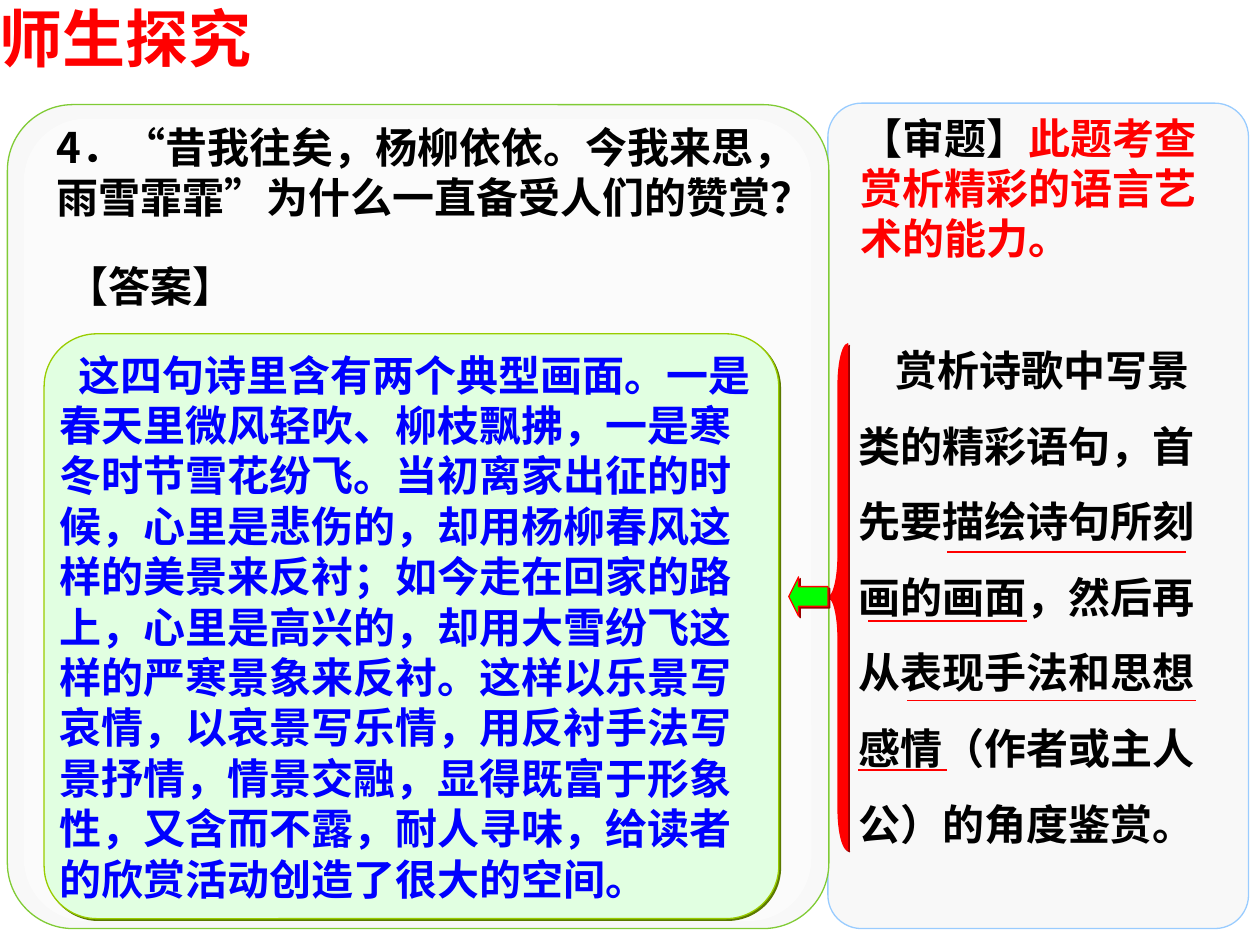
from lxml import etree
from pptx import Presentation
from pptx.dml.color import RGBColor
from pptx.enum.shapes import MSO_CONNECTOR, MSO_SHAPE as SHAPE
from pptx.enum.text import MSO_ANCHOR as ANCHOR, PP_ALIGN
from pptx.oxml.ns import qn
from pptx.util import Cm, Pt

COLORS = {
    "panel": "F8F8F8", "white": "FFFFFF", "black": "000000", "red": "FF0000",
    "blue": "0000FF", "green": "00FF00", "mint": "E1FFE1", "lime": "99CC00",
    "leaf": "80CB35", "sky": "99CCFF", "olive": "5B7900", "maroon": "980000",
    "gray": "808080",
}
SANS = "Noto Sans CJK SC"
ANSWER = (
    "这四句诗里含有两个典型画面。一是春天里微风轻吹、柳枝飘拂，一是寒冬时节雪花纷飞。"
    "当初离家出征的时候，心里是悲伤的，却用杨柳春风这样的美景来反衬；如今走在回家的路上，"
    "心里是高兴的，却用大雪纷飞这样的严寒景象来反衬。这样以乐景写哀情，以哀景写乐情，"
    "用反衬手法写景抒情，情景交融，显得既富于形象性，又含而不露，耐人寻味，"
    "给读者的欣赏活动创造了很大的空间。"
)
METHOD = (
    "赏析诗歌中写景类的精彩语句，首先要描绘诗句所刻画的画面，"
    "然后再从表现手法和思想感情（作者或主人公）的角度鉴赏。"
)
UNDERLINES = [(19.1, 23.9, 11.13), (17.5, 20.7, 12.52),
              (18.29, 24.1, 14.12), (17.3, 19.1, 15.52)]


def rgb(name):
    """Return the named colour."""
    return RGBColor.from_string(COLORS[name])


def add_shadow(parent, color):
    """Append a crisp shadow to the lower right inside an effect list."""
    shadow = etree.SubElement(parent, qn("a:outerShdw"), dist=str(Pt(1.4)),
                              dir="2700000", algn="ctr", rotWithShape="0")
    etree.SubElement(shadow, qn("a:srgbClr"), val=COLORS[color])


def add_shape(s, kind, box, fill, line=None, adj=(), shadow=None):
    """Add a preset shape with its fill, outline, adjustments and shadow."""
    sp = s.shapes.add_shape(kind, *map(Cm, box))
    for i, value in enumerate(adj):
        sp.adjustments[i] = value
    sp.fill.solid()
    sp.fill.fore_color.rgb = rgb(fill)
    if line:
        sp.line.color.rgb = rgb(line)
        sp.line.width = Pt(0.75)
    else:
        sp.line.fill.background()
    sp.shadow.inherit = False
    if shadow:
        add_shadow(sp._element.spPr.find(qn("a:effectLst")), shadow)
    return sp


def set_text(sp, runs, size=24, font="Arial", anchor=ANCHOR.TOP,
             insets=(0.25, 0.13, 0.25, 0.13), indent=0, spacing=None, shadow=True):
    """Write one bold paragraph of (text, colour) runs."""
    tf = sp.text_frame
    tf.word_wrap = True
    tf.vertical_anchor = anchor
    tf.margin_left, tf.margin_top, tf.margin_right, tf.margin_bottom = map(Cm, insets)
    p = tf.paragraphs[0]
    p.alignment = PP_ALIGN.LEFT
    p.line_spacing = spacing
    if indent:
        p._p.get_or_add_pPr().set("indent", str(Cm(indent)))
    p.font.size, p.font.bold, p.font.name = Pt(size), True, font
    for text, color in runs:
        r = p.add_run()
        r.text = text
        r.font.color.rgb = rgb(color)
        rPr = r._r.get_or_add_rPr()
        if shadow:
            add_shadow(etree.SubElement(rPr, qn("a:effectLst")), "gray")
        etree.SubElement(rPr, qn("a:ea"), typeface=SANS)


def add_text(s, box, runs, **style):
    """Add a text box."""
    set_text(s.shapes.add_textbox(*map(Cm, box)), runs, **style)


def add_underline(s, x1, x2, y):
    """Add a thin red horizontal line."""
    line = s.shapes.add_connector(MSO_CONNECTOR.STRAIGHT, Cm(x1), Cm(y), Cm(x2), Cm(y))
    line.line.color.rgb = rgb("red")
    line.line.width = Pt(1)
    etree.SubElement(line._element.spPr, qn("a:effectLst"))


def add_panels(s):
    """Add the two background panels and the pale inner layer."""
    rounded = SHAPE.ROUNDED_RECTANGLE
    add_shape(s, rounded, (16.69, 2.08, 8.48, 16.64), "panel", "sky", [0.08])
    add_shape(s, rounded, (0.15, 2.11, 16.56, 16.61), "panel", "leaf", [0.08])
    inner = add_shape(s, rounded, (0.48, 2.39, 15.88, 16.18), "white", adj=[0.08])
    color = inner._element.spPr.find(qn("a:solidFill"))[0]
    etree.SubElement(color, qn("a:alpha"), val="50000")


def main():
    """Build the slide and save it."""
    prs = Presentation()
    prs.slide_width, prs.slide_height = Cm(25.4), Cm(19.05)
    s = prs.slides.add_slide(prs.slide_layouts[6])

    add_panels(s)
    add_text(s, (0, 0, 8.51, 1.52), [("师生探究", "red")], size=36, insets=(0, 0, 0, 0))
    add_text(s, (0.89, 2.31, 16, 2.29),
             [("4．“昔我往矣，杨柳依依。今我来思，雨雪霏霏”为什么一直备受人们的赞赏？", "black")],
             font=SANS, anchor=ANCHOR.MIDDLE)
    answer = add_shape(s, SHAPE.ROUNDED_RECTANGLE, (0.89, 6.73, 14.81, 11.79),
                       "mint", "lime", [0.09], "olive")
    set_text(answer, [(ANSWER, "blue")], font=SANS, anchor=ANCHOR.MIDDLE,
             insets=(0, 0, 0, 0), indent=0.38, shadow=False)
    add_text(s, (17.09, 2.13, 7.8, 3.3),
             [("【审题】", "black"), ("此题考查赏析精彩的语言艺术的能力。", "red")])
    add_text(s, (17.3, 5.36, 7.21, 12.62), [(METHOD, "black")], anchor=ANCHOR.MIDDLE,
             insets=(0, 0.3, 0, 0.1), indent=0.75, spacing=1.5)
    for x1, x2, y in UNDERLINES:
        add_underline(s, x1, x2, y)
    add_shape(s, SHAPE.LEFT_BRACE, (16.69, 6.93, 0.41, 10.21), "red", "red",
              [2.07, 0.5], "maroon")
    arrow = add_shape(s, SHAPE.DOWN_ARROW, (15.9, 11.63, 0.79, 0.79), "green", "red",
                      [0.5, 0.25], "maroon")
    arrow.rotation = 90
    add_text(s, (1.09, 5.13, 4.6, 1.27), [("【答案】", "black")])
    prs.save("out.pptx")


if __name__ == "__main__":
    main()
